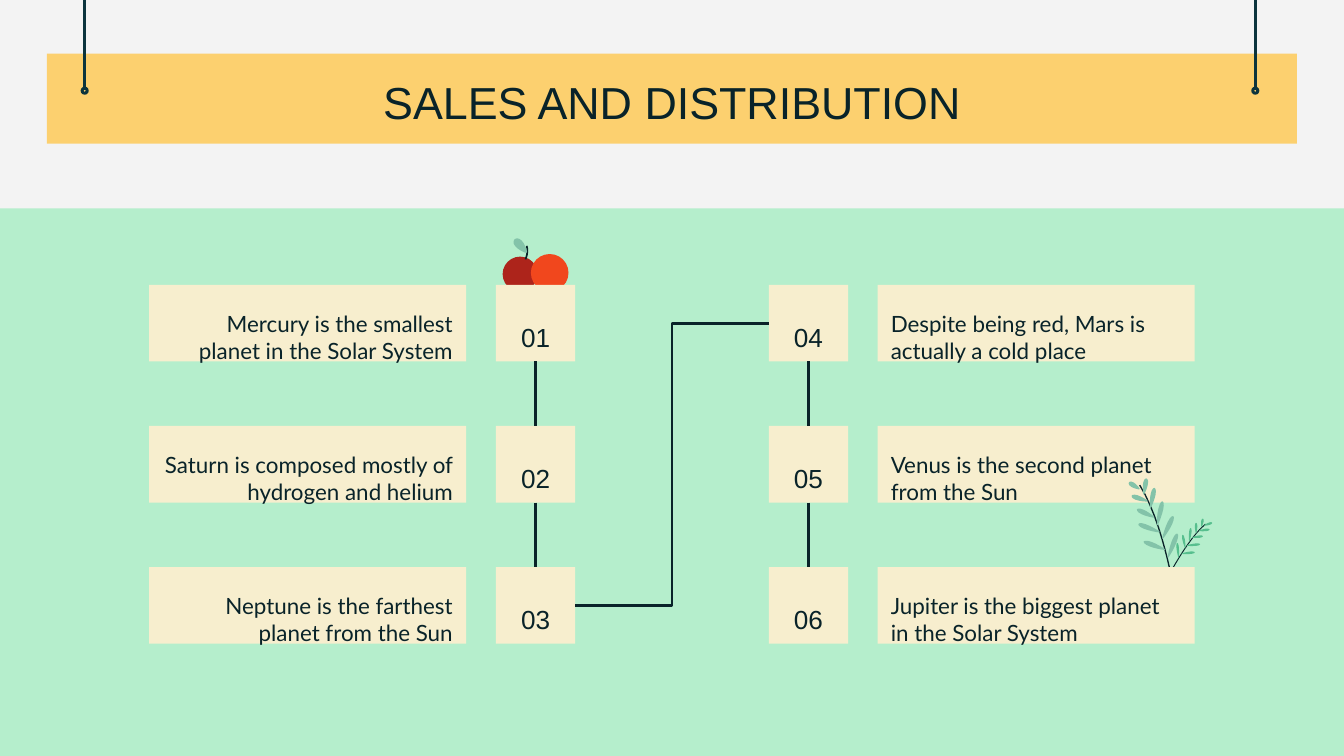
import math

import pptx
import pptx.dml.color
import pptx.enum.shapes
import pptx.enum.text
import pptx.oxml
import pptx.util

INK, SAND, SAGE, GREEN = "092329", "F7EECE", "83C3A9", "57BF8E"
SHAPES = pptx.enum.shapes.MSO_SHAPE
CONNECTORS = pptx.enum.shapes.MSO_CONNECTOR
ALIGN = pptx.enum.text.PP_ALIGN
MIDDLE = pptx.enum.text.MSO_ANCHOR.MIDDLE
Inches = pptx.util.Inches


def paint(shape, fill=None, line=None, width=0.75):
    """Colour a shape or connector from hex strings and drop its shadow."""
    if hasattr(shape, "fill"):
        shape.shadow.inherit = False
        if fill:
            shape.fill.solid()
            shape.fill.fore_color.rgb = pptx.dml.color.RGBColor.from_string(fill)
        else:
            shape.fill.background()
    else:
        shape._element.spPr.append(pptx.oxml.parse_xml(
            '<a:effectLst xmlns:a="http://schemas.openxmlformats.org/drawingml/2006/main"/>'))
    if line:
        shape.line.color.rgb = pptx.dml.color.RGBColor.from_string(line)
        shape.line.width = pptx.util.Pt(width)
    else:
        shape.line.fill.background()


def write_text(shape, text, size=12, font="Lato", align=ALIGN.LEFT,
               top=0.2, bottom=0, after=16):
    frame = shape.text_frame
    frame.word_wrap = True
    frame.auto_size = pptx.enum.text.MSO_AUTO_SIZE.NONE
    frame.vertical_anchor = MIDDLE
    frame.margin_left = frame.margin_right = Inches(0.1)
    frame.margin_top, frame.margin_bottom = Inches(top), Inches(bottom)
    paragraph = frame.paragraphs[0]
    paragraph.text = text
    paragraph.alignment = align
    paragraph.space_after = pptx.util.Pt(after)
    paragraph.font.size = pptx.util.Pt(size)
    paragraph.font.name = font
    paragraph.font.color.rgb = pptx.dml.color.RGBColor.from_string(INK)


presentation = pptx.Presentation()
presentation.slide_width = Inches(10)
presentation.slide_height = presentation.slide_width * 9 // 16
slide = presentation.slides.add_slide(presentation.slide_layouts[5])
shapes = slide.shapes

# Background, banner and the two hanging strings
slide.background.fill.solid()
slide.background.fill.fore_color.rgb = pptx.dml.color.RGBColor.from_string("F3F3F3")
floor_top = Inches(1.55)
floor = shapes.add_shape(SHAPES.RECTANGLE, 0, floor_top, presentation.slide_width,
                         presentation.slide_height - floor_top)
paint(floor, "B5EECC")
banner = shapes.add_shape(SHAPES.RECTANGLE, Inches(0.35), Inches(0.4), Inches(9.3), Inches(0.67))
paint(banner, "FCD06F")
for x in (0.63, 9.34):
    string = shapes.add_connector(CONNECTORS.STRAIGHT, Inches(x), 0, Inches(x), Inches(0.65))
    paint(string, line="0C343D", width=1.5)
    ring = shapes.add_shape(SHAPES.DONUT, Inches(x - 0.025), Inches(0.65),
                            Inches(0.05), Inches(0.05))
    paint(ring, "0C343D", "0C343D")

# Title, raised above the banner
title = shapes.title
title.left, title.top, title.width, title.height = map(Inches, (1.5, 0.44, 7, 0.63))
write_text(title, "SALES AND DISTRIBUTION", size=24, font="Arial",
           align=ALIGN.CENTER, top=0.1, bottom=0.1, after=0)
floor._element.getparent().append(title._element)

# Two apples: left, top, diameter
for left, top, diameter, colour in ((3.74, 1.91, 0.26, "AD241B"), (3.95, 1.89, 0.28, "F1471D")):
    apple = shapes.add_shape(SHAPES.OVAL, Inches(left), Inches(top),
                             Inches(diameter), Inches(diameter))
    paint(apple, colour)

# Stems of the apple and the two sprigs: Bezier control points and line width
stems = [
    ([(3.92, 1.83), (3.93, 1.87), (3.92, 1.91), (3.91, 1.93)], 0.9),
    ([(8.48, 3.61), (8.65, 3.88), (8.73, 4.37), (8.73, 4.37)], 0.7),
    ([(8.97, 3.9), (8.84, 4.01), (8.71, 4.26), (8.71, 4.26)], 0.5),
]
for controls, width in stems:
    points = []
    for step in range(13):
        t = step / 12
        weights = [math.comb(3, k) * t**k * (1 - t)**(3 - k) for k in range(4)]
        points.append([Inches(sum(weight * control[axis]
                                  for weight, control in zip(weights, controls)))
                       for axis in (0, 1)])
    builder = shapes.build_freeform(*points[0])
    builder.add_line_segments(points[1:], close=False)
    paint(builder.convert_to_shape(), line=INK, width=width)

# Leaves: base and tip of each, grouped by colour and breadth
leaves = [
    (SAGE, 0.07, [(3.92, 1.88, 3.83, 1.78)]),
    (SAGE, 0.04, [
        (8.69, 4.15, 8.76, 3.97), (8.65, 4.01, 8.73, 3.84), (8.61, 3.91, 8.65, 3.73),
        (8.56, 3.78, 8.59, 3.63), (8.51, 3.68, 8.53, 3.56), (8.48, 3.64, 8.4, 3.59),
        (8.54, 3.73, 8.42, 3.69), (8.59, 3.85, 8.46, 3.79), (8.63, 3.96, 8.47, 3.9),
        (8.67, 4.09, 8.51, 4.03)]),
    (GREEN, 0.02, [
        (8.77, 4.15, 8.76, 4.04), (8.82, 4.08, 8.8, 3.98), (8.85, 4.03, 8.86, 3.93),
        (8.9, 3.97, 8.9, 3.89), (8.94, 3.92, 8.95, 3.86), (8.96, 3.91, 9.02, 3.89),
        (8.92, 3.95, 9, 3.94), (8.87, 4, 8.95, 3.99), (8.83, 4.06, 8.93, 4.05),
        (8.79, 4.12, 8.89, 4.11)]),
]
for colour, breadth, veins in leaves:
    for base_x, base_y, tip_x, tip_y in veins:
        run, rise = tip_x - base_x, tip_y - base_y
        length = math.hypot(run, rise)
        outline = []
        for step in range(16):
            angle = math.tau * step / 16
            along = (1 - math.cos(angle)) / 2
            across = breadth / 2 * math.sin(angle) * (0.5 + 0.7 * along) / length
            outline.append((Inches(base_x + along * run - across * rise),
                            Inches(base_y + along * rise + across * run)))
        builder = shapes.build_freeform(*outline[0])
        builder.add_line_segments(outline[1:])
        paint(builder.convert_to_shape(), colour)

# Six steps in two columns of three: a numbered box and a text card each
columns = [
    (3.69, 1.11, ALIGN.RIGHT, [
        "Mercury is the smallest planet in the Solar System",
        "Saturn is composed mostly of hydrogen and helium",
        "Neptune is the farthest planet from the Sun"]),
    (5.72, 6.53, ALIGN.LEFT, [
        "Despite being red, Mars is actually a cold place",
        "Venus is the second planet from the Sun",
        "Jupiter is the biggest planet in the Solar System"]),
]
first_row, row_pitch, box_height = 2.12, 1.05, 0.57
numbers, cards = [], []
for number_left, card_left, align, texts in columns:
    for row, text in enumerate(texts):
        top = Inches(first_row + row * row_pitch)
        number = shapes.add_shape(SHAPES.RECTANGLE, Inches(number_left), top,
                                  Inches(0.59), Inches(box_height))
        card = shapes.add_shape(SHAPES.RECTANGLE, Inches(card_left), top,
                                Inches(2.36), Inches(box_height))
        numbers.append(number)
        cards.append(card)
        paint(number, SAND)
        paint(card, SAND)
        write_text(number, f"{len(numbers):02d}", size=14, font="Arial", align=ALIGN.CENTER)
        write_text(card, text, align=align)

# The sprigs grow in front of the fifth card
floor._element.addnext(cards[4]._element)

# Connectors from each number to the next; sites: 0 top, 1 left, 2 bottom, 3 right
for index, (start, end) in enumerate(zip(numbers, numbers[1:])):
    turn = index == 2
    connector = shapes.add_connector(CONNECTORS.ELBOW if turn else CONNECTORS.STRAIGHT, 0, 0, 0, 0)
    connector.begin_connect(start, 3 if turn else 2)
    connector.end_connect(end, 1 if turn else 0)
    paint(connector, line=INK, width=1.5)

presentation.save("out.pptx")
